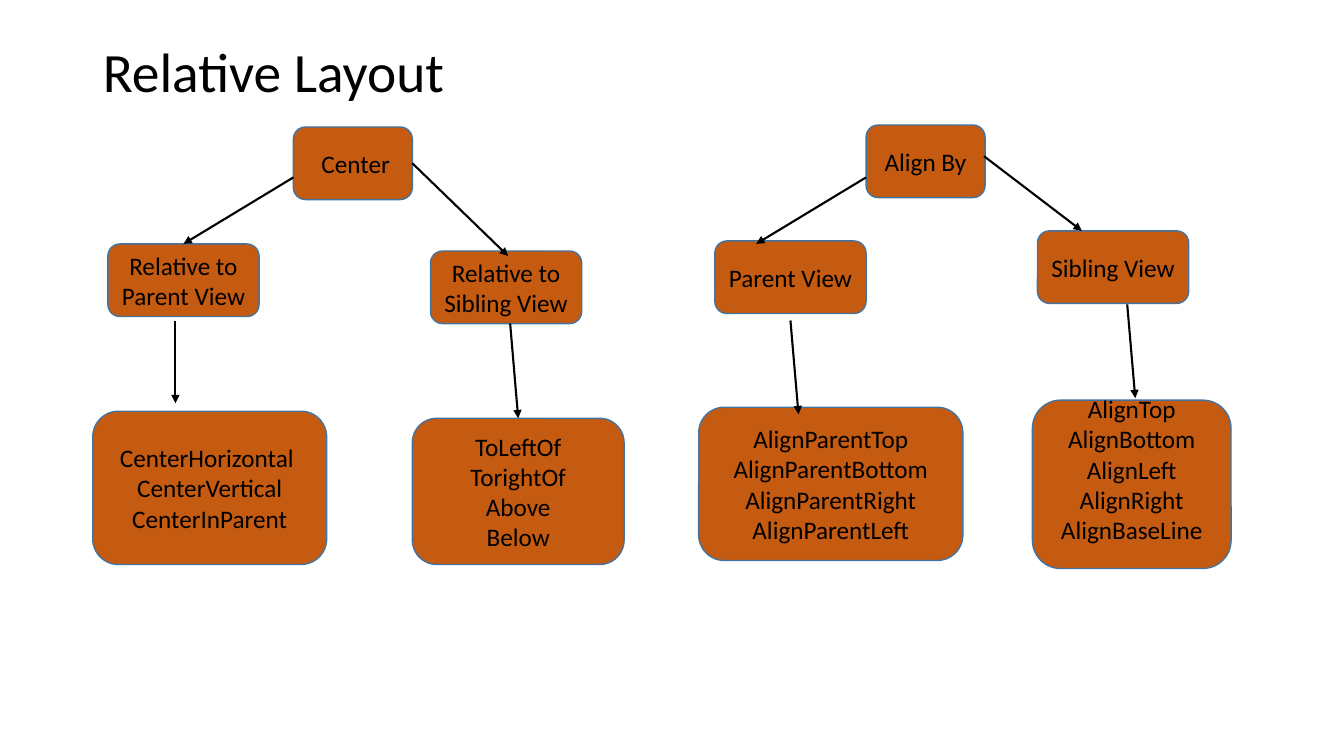
"""Build the Relative Layout slide: two trees of layout rules."""
from dataclasses import dataclass
from typing import Optional

import lxml.etree
import pptx
import pptx.dml.color
import pptx.enum.shapes
import pptx.enum.text
import pptx.oxml.ns
import pptx.util

Inches = pptx.util.Inches
Pt = pptx.util.Pt
RGBColor = pptx.dml.color.RGBColor
qn = pptx.oxml.ns.qn

BLACK = RGBColor(0x00, 0x00, 0x00)
ORANGE = RGBColor(0xC5, 0x5A, 0x11)
BLUE = RGBColor(0x43, 0x73, 0x9E)
FONT = "Calibri"
TOP, RIGHT = 0, 3


@dataclass(frozen=True)
class Node:
    lines: tuple[str, ...]
    left: float
    top: float
    width: float
    height: float = 0.72
    bottom_inset: float = 0.05


@dataclass(frozen=True)
class Arrow:
    start: tuple[float, float]
    end: tuple[float, float]
    source: Optional[str] = None
    target: Optional[str] = None


NODES = {
    "center": Node((" Center",), 2.91, 1.26, 1.18),
    "center parent": Node(("Relative to", "Parent View"), 1.07, 2.42, 1.5),
    "center sibling": Node(("Relative to", "Sibling View"), 4.27, 2.49, 1.5),
    "center parent rules": Node(
        ("CenterHorizontal ", "CenterVertical", "CenterInParent"),
        0.92, 4.08, 2.32, 1.52),
    "center sibling rules": Node(
        ("ToLeftOf", "TorightOf", "Above", "Below"), 4.09, 4.15, 2.1, 1.45),
    "align": Node(("Align By",), 8.59, 1.24, 1.18),
    "align parent": Node(("Parent View",), 7.09, 2.39, 1.5),
    "align sibling": Node(("Sibling View",), 10.29, 2.29, 1.5),
    "align parent rules": Node(
        ("AlignParentTop", "AlignParentBottom", "AlignParentRight", "AlignParentLeft"),
        6.93, 4.04, 2.62, 1.52),
    "align sibling rules": Node(
        ("AlignTop", "AlignBottom", "AlignLeft", "AlignRight", "AlignBaseLine"),
        10.24, 3.97, 1.97, 1.67, bottom_inset=0.35),
}

ARROWS = (
    Arrow((2.91, 1.76), (1.82, 2.42), target="center parent"),
    Arrow((8.59, 1.76), (7.5, 2.42)),
    Arrow((4.09, 1.62), (5.04, 2.54), source="center"),
    Arrow((9.76, 1.55), (10.73, 2.29)),
    Arrow((1.74, 3.18), (1.74, 4)),
    Arrow((5.06, 3.21), (5.14, 4.15), target="center sibling rules"),
    Arrow((7.84, 3.18), (7.92, 4.11)),
    Arrow((11.18, 3.02), (11.26, 3.95)),
)


def format_paragraph(paragraph, size: float, align) -> None:
    paragraph.alignment = align
    paragraph.font.name = FONT
    paragraph.font.size = Pt(size)
    paragraph.font.color.rgb = BLACK


def write_title(slide) -> None:
    heading = slide.shapes.title
    heading.left, heading.top = Inches(0.92), Inches(0.4)
    heading.width, heading.height = Inches(11.5), Inches(0.68)
    frame = heading.text_frame
    frame.text = "Relative Layout"
    frame.auto_size = pptx.enum.text.MSO_AUTO_SIZE.NONE
    frame.vertical_anchor = pptx.enum.text.MSO_ANCHOR.MIDDLE
    frame.paragraphs[0].line_spacing = 0.9
    format_paragraph(frame.paragraphs[0], 39.6, pptx.enum.text.PP_ALIGN.LEFT)


def draw_node(slide, node: Node):
    box = slide.shapes.add_shape(
        pptx.enum.shapes.MSO_SHAPE.ROUNDED_RECTANGLE,
        Inches(node.left), Inches(node.top), Inches(node.width), Inches(node.height))
    box.shadow.inherit = False
    box.fill.solid()
    box.fill.fore_color.rgb = ORANGE
    box.line.color.rgb = BLUE
    box.line.width = Pt(1)
    frame = box.text_frame
    frame.word_wrap = True
    frame.vertical_anchor = pptx.enum.text.MSO_ANCHOR.MIDDLE
    frame.margin_bottom = Inches(node.bottom_inset)
    frame.text = "\n".join(node.lines)
    for paragraph in frame.paragraphs:
        format_paragraph(paragraph, 18, pptx.enum.text.PP_ALIGN.CENTER)
    return box


def draw_arrow(slide, arrow: Arrow, boxes: dict) -> None:
    link = slide.shapes.add_connector(
        pptx.enum.shapes.MSO_CONNECTOR.STRAIGHT,
        *(Inches(value) for value in arrow.start + arrow.end))
    if arrow.source:
        link.begin_connect(boxes[arrow.source], RIGHT)
    if arrow.target:
        link.end_connect(boxes[arrow.target], TOP)
    link.line.color.rgb = BLACK
    link.line.width = Pt(1.5)
    properties = link._element.find(qn("p:spPr"))
    outline = properties.find(qn("a:ln"))
    lxml.etree.SubElement(outline, qn("a:tailEnd"), type="triangle")
    lxml.etree.SubElement(properties, qn("a:effectLst"))


def main() -> None:
    deck = pptx.Presentation()
    deck.slide_width, deck.slide_height = Inches(13.33), Inches(7.5)
    slide = deck.slides.add_slide(deck.slide_layouts.get_by_name("Title Only"))
    write_title(slide)
    boxes = {key: draw_node(slide, node) for key, node in NODES.items()}
    for arrow in ARROWS:
        draw_arrow(slide, arrow, boxes)
    deck.save("out.pptx")


if __name__ == "__main__":
    main()
